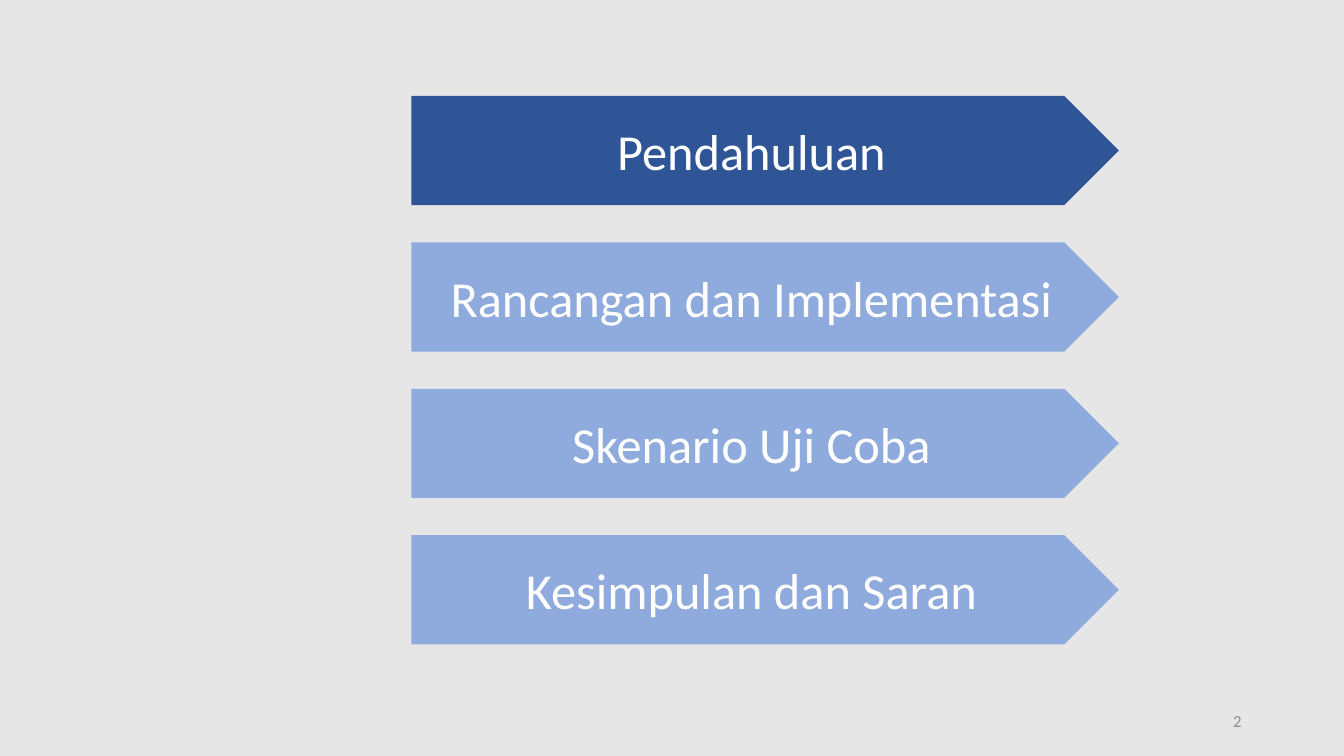
"""Build the agenda slide with its first section highlighted."""
import dataclasses

import pptx
import pptx.dml.color
import pptx.enum.shapes
import pptx.enum.text
import pptx.util

Pt = pptx.util.Pt
Align = pptx.enum.text.PP_ALIGN

LEFT, TOP, WIDTH, HEIGHT = 293.8, 68.5, 505.4, 78
PITCH = 104.6


@dataclasses.dataclass
class Step:
    label: str
    fill: str = "8FAADC"


STEPS = [
    Step("Pendahuluan", "2F5597"),
    Step("Rancangan dan Implementasi"),
    Step("Skenario Uji Coba"),
    Step("Kesimpulan dan Saran"),
]


def paint(fill, color: str) -> None:
    fill.solid()
    fill.fore_color.rgb = pptx.dml.color.RGBColor.from_string(color)


def write(shape, text: str, *, size: float, color: str, align: Align) -> None:
    frame = shape.text_frame
    frame.word_wrap = True
    frame.vertical_anchor = pptx.enum.text.MSO_ANCHOR.MIDDLE
    para = frame.paragraphs[0]
    para.alignment = align
    run = para.add_run()
    run.text = text
    run.font.name = "Calibri"
    run.font.size = Pt(size)
    paint(run.font.fill, color)


def draw(slide, step: Step, top: float) -> None:
    kind = pptx.enum.shapes.MSO_SHAPE.PENTAGON
    arrow = slide.shapes.add_shape(kind, Pt(LEFT), Pt(top), Pt(WIDTH), Pt(HEIGHT))
    arrow.shadow.inherit = False
    arrow.line.fill.background()
    paint(arrow.fill, step.fill)
    write(arrow, step.label, size=36, color="FFFFFF", align=Align.CENTER)


def main() -> None:
    deck = pptx.Presentation()
    deck.slide_width, deck.slide_height = Pt(960), Pt(540)
    slide = deck.slides.add_slide(deck.slide_layouts[6])
    paint(slide.background.fill, "E7E6E6")
    for row, step in enumerate(STEPS):
        draw(slide, step, TOP + row * PITCH)
    page = slide.shapes.add_textbox(Pt(678), Pt(500.5), Pt(216), Pt(28.75))
    write(page, "2", size=12, color="8C8C8C", align=Align.RIGHT)
    deck.save("out.pptx")


main()
